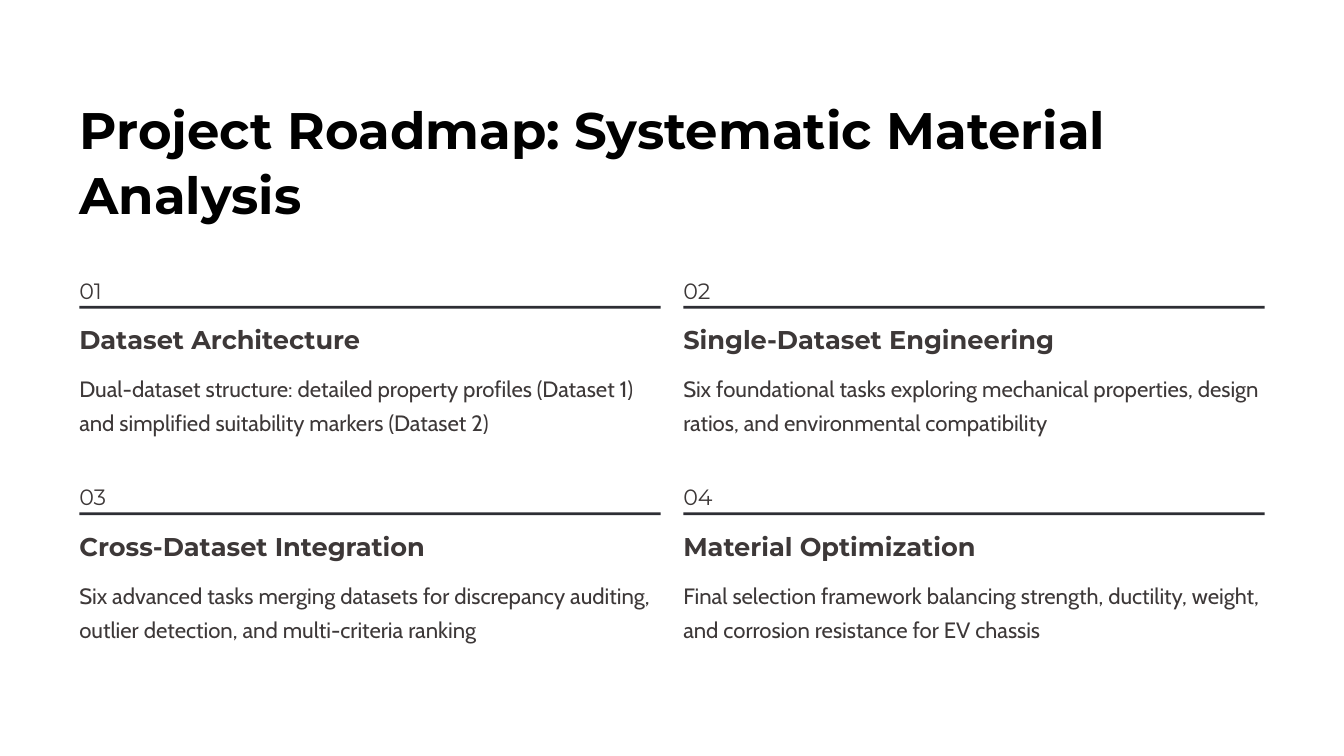
from pptx import Presentation
from pptx.dml.color import RGBColor
from pptx.enum import shapes
from pptx.util import Pt

WHITE = RGBColor(0xFF, 0xFF, 0xFF)
BLACK = RGBColor(0, 0, 0)
INK = RGBColor(0x3D, 0x38, 0x38)
RULE = RGBColor(0x2D, 0x2E, 0x34)

SLIDE_W, SLIDE_H = 1152, 648
MARGIN = 68
COL_W, COL_STEP = 498.4, 517.7
STEPS_TOP, ROW_H, ROW_STEP = 231.6, 142.6, 176.9

STEPS = [
    ("Dataset Architecture",
     "Dual-dataset structure: detailed property profiles (Dataset 1) "
     "and simplified suitability markers (Dataset 2)"),
    ("Single-Dataset Engineering",
     "Six foundational tasks exploring mechanical properties, design "
     "ratios, and environmental compatibility"),
    ("Cross-Dataset Integration",
     "Six advanced tasks merging datasets for discrepancy auditing, "
     "outlier detection, and multi-criteria ranking"),
    ("Material Optimization",
     "Final selection framework balancing strength, ductility, weight, "
     "and corrosion resistance for EV chassis"),
]


def add_rect(s, box, color):
    sp = s.shapes.add_shape(shapes.MSO_SHAPE.RECTANGLE, *map(Pt, box))
    sp.shadow.inherit = False
    sp.fill.solid()
    sp.fill.fore_color.rgb = color
    sp.line.fill.background()


def add_text(s, box, content, size, leading, font="Montserrat",
             color=INK, bold=False):
    tf = s.shapes.add_textbox(*map(Pt, box)).text_frame
    tf.margin_left = tf.margin_right = tf.margin_top = tf.margin_bottom = 0
    tf.word_wrap = True
    p = tf.paragraphs[0]
    p.text = content
    p.line_spacing = Pt(leading)
    p.font.name = font
    p.font.size = Pt(size)
    p.font.bold = bold
    p.font.color.rgb = color


def add_title(s, box):
    add_text(s, box, "Project Roadmap: Systematic Material Analysis",
             44, 55, color=BLACK, bold=True)


def add_step(s, box, number, heading, body):
    x, y, w, h = box
    add_text(s, (x, y, 30, 24.5), f"{number:02d}", 19, 29)
    add_rect(s, (x, y + 30.6, w, 2.4), RULE)
    add_text(s, (x, y + 45, 340, 27.4), heading, 22, 27.5, bold=True)
    add_text(s, (x, y + 84.3, w, h - 84.3), body, 19, 29, font="Cabin")


def add_steps(s, left, top):
    for i, step in enumerate(STEPS):
        row, col = divmod(i, 2)
        box = (left + col * COL_STEP, top + row * ROW_STEP, COL_W, ROW_H)
        add_step(s, box, i + 1, *step)


def main():
    prs = Presentation()
    prs.slide_width, prs.slide_height = Pt(SLIDE_W), Pt(SLIDE_H)
    s = prs.slides.add_slide(prs.slide_layouts[6])
    add_rect(s, (0, 0, SLIDE_W, SLIDE_H), WHITE)
    add_title(s, (MARGIN, 82.3, COL_STEP + COL_W, 110))
    add_steps(s, MARGIN, STEPS_TOP)
    prs.save("out.pptx")


if __name__ == "__main__":
    main()
